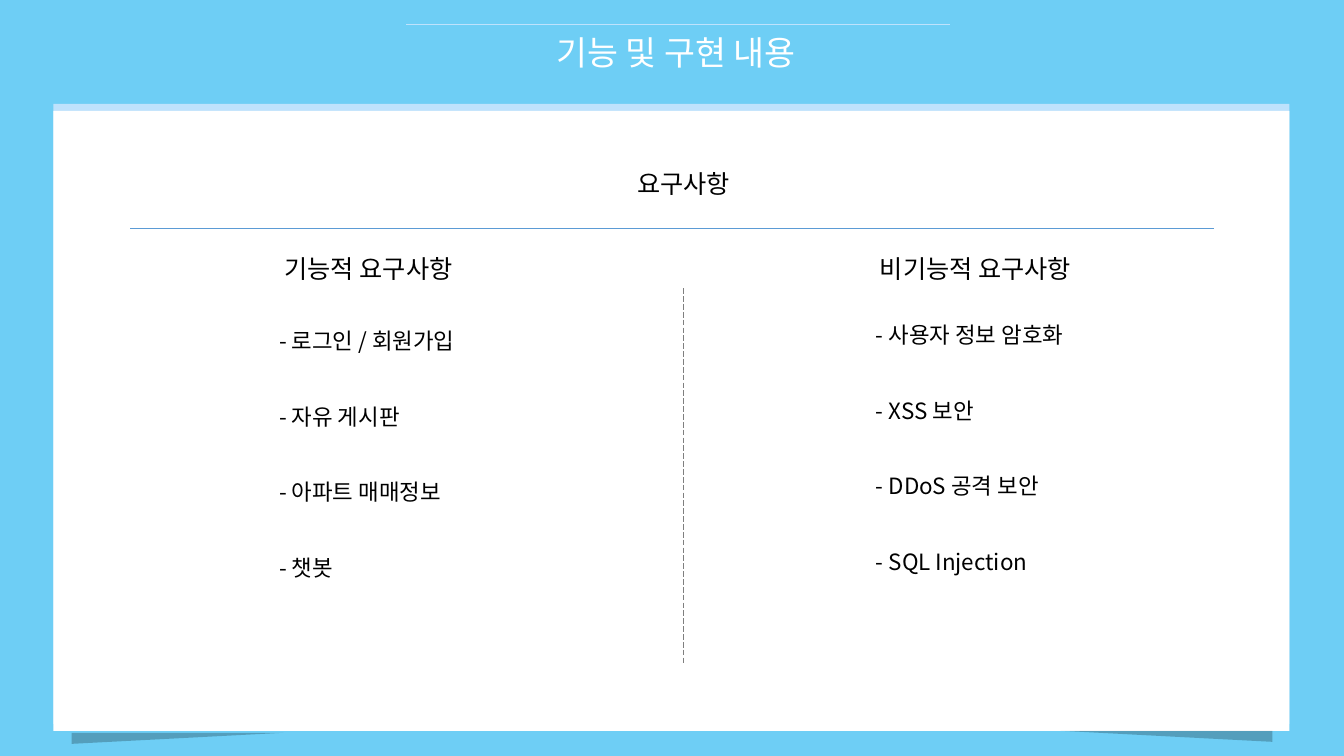
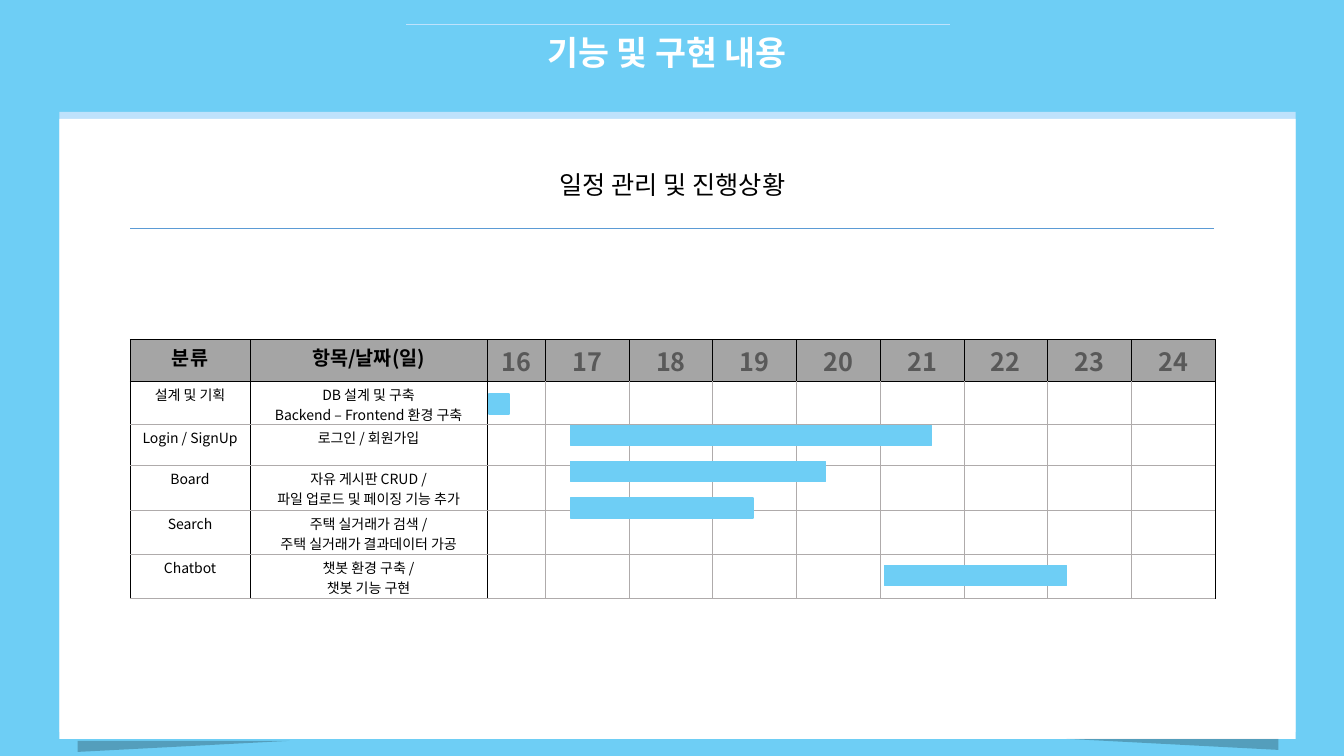
from dataclasses import dataclass
from itertools import accumulate
from typing import Any, NamedTuple

from lxml.etree import SubElement
from pptx import Presentation
from pptx.dml.color import RGBColor as Rgb
from pptx.enum.dml import MSO_LINE as Dash
from pptx.enum.shapes import MSO_CONNECTOR as Connector, MSO_SHAPE as Preset
from pptx.enum.text import MSO_ANCHOR as Anchor, PP_ALIGN as Align
from pptx.oxml.ns import qn
from pptx.util import Emu, Pt

EMU_PER_PX = 9144  # 100 px to the inch


@dataclass(frozen=True)
class Theme:
    font: str = "Noto Sans CJK KR"
    sky: str = "6ECEF5"
    pale: str = "BEE2FC"
    rule: str = "5B9BD5"
    divider: str = "7F7F7F"
    white: str = "FFFFFF"
    black: str = "000000"
    header: str = "A5A5A5"
    date: str = "595959"
    grid: str = "AFABAB"
    title_size: int = 24
    heading_size: int = 18
    list_size: int = 16
    label_size: int = 14
    cell_size: int = 10
    list_gap: float = 34.7
    hairline: float = 0.5


THEME = Theme()


class Box(NamedTuple):
    x: int
    y: int
    width: int
    height: int

    def emu(self) -> list[Emu]:
        return [px(value) for value in self]


class Style(NamedTuple):
    size: int
    color: str = THEME.black
    bold: bool = False
    align: Any = Align.CENTER
    gap: float = 0


class Rule(NamedTuple):
    start: tuple[int, int]
    end: tuple[int, int]
    color: str
    dash: Any = None


class Label(NamedTuple):
    box: Box
    lines: list[str]
    style: Style


class Fold(NamedTuple):
    box: Box
    flips: tuple[str, ...]


HEADING = Style(THEME.heading_size)
BULLETS = Style(THEME.list_size, align=Align.LEFT, gap=THEME.list_gap)

TITLE = "기능 및 구현 내용"
TOP_RULE = Rule((403, 24), (942, 24), THEME.pale)
SECTION_RULE = Rule((129, 227), (1204, 227), THEME.rule)
DIVIDER = Rule((678, 286), (678, 658), THEME.divider, Dash.LONG_DASH)

REQUIREMENTS = [
    Label(Box(267, 162, 822, 50), ["요구사항"], HEADING),
    Label(Box(94, 246, 543, 50), ["기능적 요구사항"], HEADING),
    Label(Box(696, 246, 543, 50), ["비기능적 요구사항"], HEADING),
    Label(Box(267, 320, 242, 290),
          ["- 로그인 / 회원가입", "- 자유 게시판", "- 아파트 매매정보", "- 챗봇"], BULLETS),
    Label(Box(859, 314, 237, 290),
          ["- 사용자 정보 암호화", "- XSS 보안", "- DDoS 공격 보안", "- SQL Injection"], BULLETS),
]
SCHEDULE_HEADING = Label(Box(256, 163, 822, 50), ["일정 관리 및 진행상황"], HEADING)

TABLE_ORIGIN = (129, 337)
COLUMNS = [119, 235, 58] + [83] * 8
ROWS = [41, 43, 41, 44, 44, 44]
DARK_COLUMN_EDGES = {0, 1, 2, len(COLUMNS)}
DARK_ROW_EDGES = {0, 1}
TABLE_TEXT = [
    ["분류", "항목/날짜(일)"] + [str(day) for day in range(16, 25)],
    ["설계 및 기획", "DB 설계 및 구축\nBackend – Frontend 환경 구축"],
    ["Login / SignUp", "로그인 / 회원가입"],
    ["Board", "자유 게시판 CRUD /\n파일 업로드 및 페이징 기능 추가"],
    ["Search", "주택 실거래가 검색 /\n주택 실거래가 결과데이터 가공"],
    ["Chatbot", "챗봇 환경 구축 /\n챗봇 기능 구현"],
]
BAR_HEIGHT = 20
BARS = [(485, 391, 20), (566, 422, 358), (566, 458, 253), (566, 494, 181), (877, 561, 181)]


def px(value: int) -> Emu:
    return Emu(value * EMU_PER_PX)


def apply_format(target: Any, values: dict[str, Any]) -> None:
    for name, value in values.items():
        setattr(target, name, value)


def write_lines(frame: Any, lines: list[str], style: Style) -> None:
    for index, line in enumerate(lines):
        para = frame.paragraphs[0] if index == 0 else frame.add_paragraph()
        para.alignment = style.align
        if index and style.gap:
            para.space_before = Pt(style.gap)
        span = para.add_run()
        span.text = line
        apply_format(span.font, {"name": THEME.font, "size": Pt(style.size), "bold": style.bold})
        span.font.color.rgb = Rgb.from_string(style.color)
        # East Asian glyphs need their own typeface entry
        SubElement(span.font._element, qn("a:ea"), typeface=THEME.font)


def add_label(page: Any, label: Label) -> None:
    frame = page.shapes.add_textbox(*label.box.emu()).text_frame
    apply_format(frame, {"word_wrap": True, "vertical_anchor": Anchor.TOP})
    write_lines(frame, label.lines, label.style)


def add_rule(page: Any, rule: Rule) -> None:
    ends = [px(value) for value in rule.start + rule.end]
    connector = page.shapes.add_connector(Connector.STRAIGHT, *ends)
    connector.line.color.rgb = Rgb.from_string(rule.color)
    connector.line.width = Pt(THEME.hairline)
    if rule.dash is not None:
        connector.line.dash_style = rule.dash
    SubElement(connector.element.spPr, qn("a:effectLst"))


def add_block(shapes: Any, preset: Any, box: Box, color: str) -> Any:
    shape = shapes.add_shape(preset, *box.emu())
    shape.shadow.inherit = False
    shape.fill.solid()
    shape.fill.fore_color.rgb = Rgb.from_string(color)
    shape.line.fill.background()
    return shape


def add_card(page: Any, x: int, y: int) -> None:
    """White sheet with a pale top edge and two folded corners below."""
    group = page.shapes.add_group_shape()
    sheet = add_block(group.shapes, Preset.RECTANGLE, Box(x, y, 1226, 615), THEME.white)
    effects = sheet.element.spPr.find(qn("a:effectLst"))
    shadow = SubElement(effects, qn("a:outerShdw"), blurRad="0", dist=str(Pt(5)),
                        dir="16200000", algn="b", rotWithShape="0")
    SubElement(shadow, qn("a:srgbClr"), val=THEME.pale)
    folds = [Fold(Box(x + 18, y + 617, 210, 11), ("flipV",)),
             Fold(Box(x + 999, y + 615, 210, 11), ("flipH", "flipV"))]
    for fold in folds:
        corner = add_block(group.shapes, Preset.RIGHT_TRIANGLE, fold.box, THEME.black)
        for flip in fold.flips:
            corner.element.spPr.find(qn("a:xfrm")).set(flip, "1")
        color = corner.element.spPr.find(qn("a:solidFill")).find(qn("a:srgbClr"))
        SubElement(color, qn("a:alpha"), val="23000")


def add_page(deck: Any, card: tuple[int, int], title_x: int, bold: bool) -> Any:
    page = deck.slides.add_slide(deck.slide_layouts[6])
    page.background.fill.solid()
    page.background.fill.fore_color.rgb = Rgb.from_string(THEME.sky)
    add_card(page, *card)
    add_label(page, Label(Box(title_x, 27, 667, 60), [TITLE],
                          Style(THEME.title_size, THEME.white, bold)))
    add_rule(page, TOP_RULE)
    add_rule(page, SECTION_RULE)
    return page


def set_borders(cell: Any, row: int, column: int) -> None:
    dark = {
        "a:lnL": row == 0 or column in DARK_COLUMN_EDGES,
        "a:lnR": row == 0 or column + 1 in DARK_COLUMN_EDGES,
        "a:lnT": row in DARK_ROW_EDGES,
        "a:lnB": row + 1 in DARK_ROW_EDGES,
    }
    properties = cell._tc.get_or_add_tcPr()
    for index, (tag, is_dark) in enumerate(dark.items()):
        line = SubElement(properties, qn(tag), w=str(Pt(THEME.hairline)))
        fill = SubElement(line, qn("a:solidFill"))
        SubElement(fill, qn("a:srgbClr"), val=THEME.black if is_dark else THEME.grid)
        properties.insert(index, line)


def cell_style(row: int, column: int) -> Style:
    if row:
        return Style(THEME.cell_size)
    if column < 2:
        return Style(THEME.label_size, bold=True)
    return Style(THEME.heading_size, THEME.date, True)


def add_schedule(page: Any) -> None:
    box = Box(*TABLE_ORIGIN, sum(COLUMNS), sum(ROWS))
    table = page.shapes.add_table(len(ROWS), len(COLUMNS), *box.emu()).table
    apply_format(table, {"first_row": False, "horz_banding": False})
    for column, width in zip(table.columns, COLUMNS):
        column.width = px(width)
    for row, height in zip(table.rows, ROWS):
        row.height = px(height)
    for row in range(len(ROWS)):
        for column in range(len(COLUMNS)):
            cell = table.cell(row, column)
            apply_format(cell, {"margin_top": px(3), "margin_bottom": 0,
                                "vertical_anchor": Anchor.TOP})
            cell.fill.solid()
            cell.fill.fore_color.rgb = Rgb.from_string(THEME.white if row else THEME.header)
            set_borders(cell, row, column)
            if column < len(TABLE_TEXT[row]):
                lines = TABLE_TEXT[row][column].split("\n")
                write_lines(cell.text_frame, lines, cell_style(row, column))


def add_bars(page: Any) -> None:
    for x, y, width in BARS:
        bar = add_block(page.shapes, Preset.RECTANGLE, Box(x, y, width, BAR_HEIGHT), THEME.sky)
        bar.line.color.rgb = Rgb.from_string(THEME.sky)
        bar.line.width = Pt(1)


def main() -> None:
    deck = Presentation()
    apply_format(deck, {"slide_width": px(1333), "slide_height": px(750)})

    # Requirements in two columns
    page = add_page(deck, card=(53, 110), title_x=337, bold=False)
    add_rule(page, DIVIDER)
    for label in REQUIREMENTS:
        add_label(page, label)

    # Schedule with progress bars
    page = add_page(deck, card=(59, 118), title_x=328, bold=True)
    add_label(page, SCHEDULE_HEADING)
    add_schedule(page)
    add_bars(page)

    deck.save("out.pptx")


if __name__ == "__main__":
    main()
